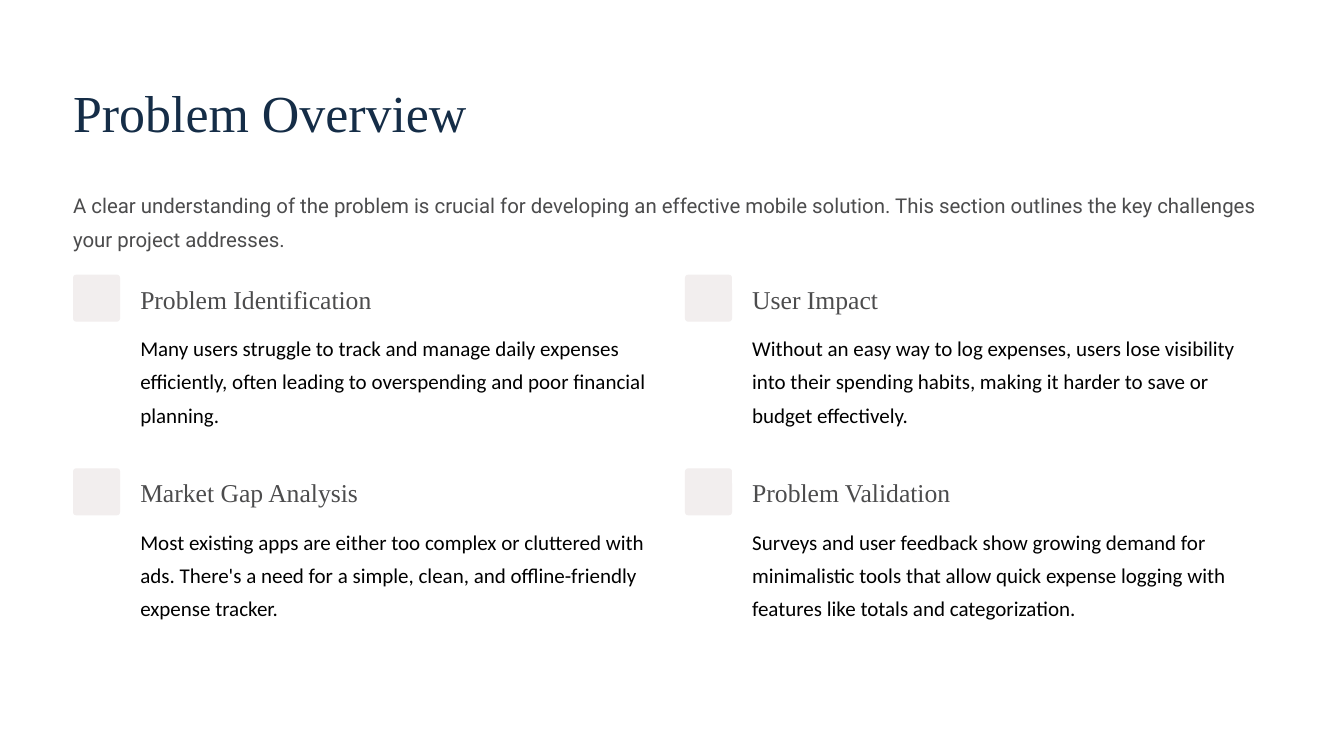
from pptx import Presentation
from pptx.dml.color import RGBColor
from pptx.enum.shapes import MSO_SHAPE
from pptx.enum.text import MSO_ANCHOR, MSO_AUTO_SIZE, PP_ALIGN
from pptx.util import Inches, Pt

ROUNDED = MSO_SHAPE.ROUNDED_RECTANGLE
TOP = MSO_ANCHOR.TOP
LEFT = PP_ALIGN.LEFT
NO_AUTOFIT = MSO_AUTO_SIZE.NONE
TITLE_ONLY = 5

TITLE = "Problem Overview"
INTRO = (
    "A clear understanding of the problem is crucial for developing an effective "
    "mobile solution. This section outlines the key challenges your project addresses."
)
TOPICS = [
    ("Problem Identification",
     "Many users struggle to track and manage daily expenses efficiently, "
     "often leading to overspending and poor financial planning."),
    ("User Impact",
     "Without an easy way to log expenses, users lose visibility into their "
     "spending habits, making it harder to save or budget effectively."),
    ("Market Gap Analysis",
     "Most existing apps are either too complex or cluttered with ads. There's "
     "a need for a simple, clean, and offline-friendly expense tracker."),
    ("Problem Validation",
     "Surveys and user feedback show growing demand for minimalistic tools that "
     "allow quick expense logging with features like totals and categorization."),
]

TITLE_STYLE = {"font": "Times New Roman", "size": 44.5, "color": "152D47", "spacing": 55.5}
INTRO_STYLE = {"font": "Roboto", "size": 17.5, "color": "4C4C4D", "spacing": 28.5}
HEADING_STYLE = {"font": "Times New Roman", "size": 22, "color": "4C4C4D", "spacing": 27.5}
BODY_STYLE = {"font": "Calibri", "size": 18, "color": "000000", "spacing": 28.5}

MARGIN, GRID_TOP = 0.87, 3.27
COLUMN_STEP, ROW_STEP = 7.285, 2.305
MARKER_SIZE, MARKER_COLOR = 0.56, "F2EEEE"
TEXT_INDENT, HEADING_DROP, BODY_DROP = 0.8, 0.09, 0.63


def rgb(value):
    return RGBColor.from_string(value)


def write(shape, text, style):
    frame = shape.text_frame
    frame_format = {
        "margin_left": 0, "margin_top": 0, "margin_right": 0, "margin_bottom": 0,
        "word_wrap": True, "auto_size": NO_AUTOFIT, "vertical_anchor": TOP,
    }
    for name, value in frame_format.items():
        setattr(frame, name, value)
    frame.text = text
    paragraph = frame.paragraphs[0]
    paragraph.alignment = LEFT
    paragraph.line_spacing = Pt(style["spacing"])
    font = paragraph.runs[0].font
    font.name = style["font"]
    font.size = Pt(style["size"])
    font.color.rgb = rgb(style["color"])


def add_text(slide, left, top, width, height, text, style):
    box = slide.shapes.add_textbox(*map(Inches, (left, top, width, height)))
    write(box, text, style)


def add_marker(slide, left, top):
    marker = slide.shapes.add_shape(
        ROUNDED, *map(Inches, (left, top, MARKER_SIZE, MARKER_SIZE)))
    marker.adjustments[0] = 0.067
    marker.shadow.inherit = False
    marker.fill.solid()
    marker.fill.fore_color.rgb = rgb(MARKER_COLOR)
    marker.line.fill.background()


def main():
    presentation = Presentation()
    presentation.slide_width = Inches(16)
    presentation.slide_height = Inches(9)
    slide = presentation.slides.add_slide(presentation.slide_layouts[TITLE_ONLY])
    slide.background.fill.solid()
    slide.background.fill.fore_color.rgb = rgb("FFFFFF")

    title = slide.shapes.title
    place = {"left": MARGIN, "top": 0.93, "width": 6.2, "height": 0.78}
    for name, value in place.items():
        setattr(title, name, Inches(value))
    write(title, TITLE, TITLE_STYLE)
    add_text(slide, MARGIN, 2.2, 14.26, 0.79, INTRO, INTRO_STYLE)

    for index, (heading, body) in enumerate(TOPICS):
        row, column = divmod(index, 2)
        left = MARGIN + column * COLUMN_STEP
        top = GRID_TOP + row * ROW_STEP
        text_left = left + TEXT_INDENT
        add_marker(slide, left, top)
        add_text(slide, text_left, top + HEADING_DROP, 3.1, 0.39, heading, HEADING_STYLE)
        add_text(slide, text_left, top + BODY_DROP, 6.17, 1.19, body, BODY_STYLE)

    presentation.save("out.pptx")


if __name__ == "__main__":
    main()
